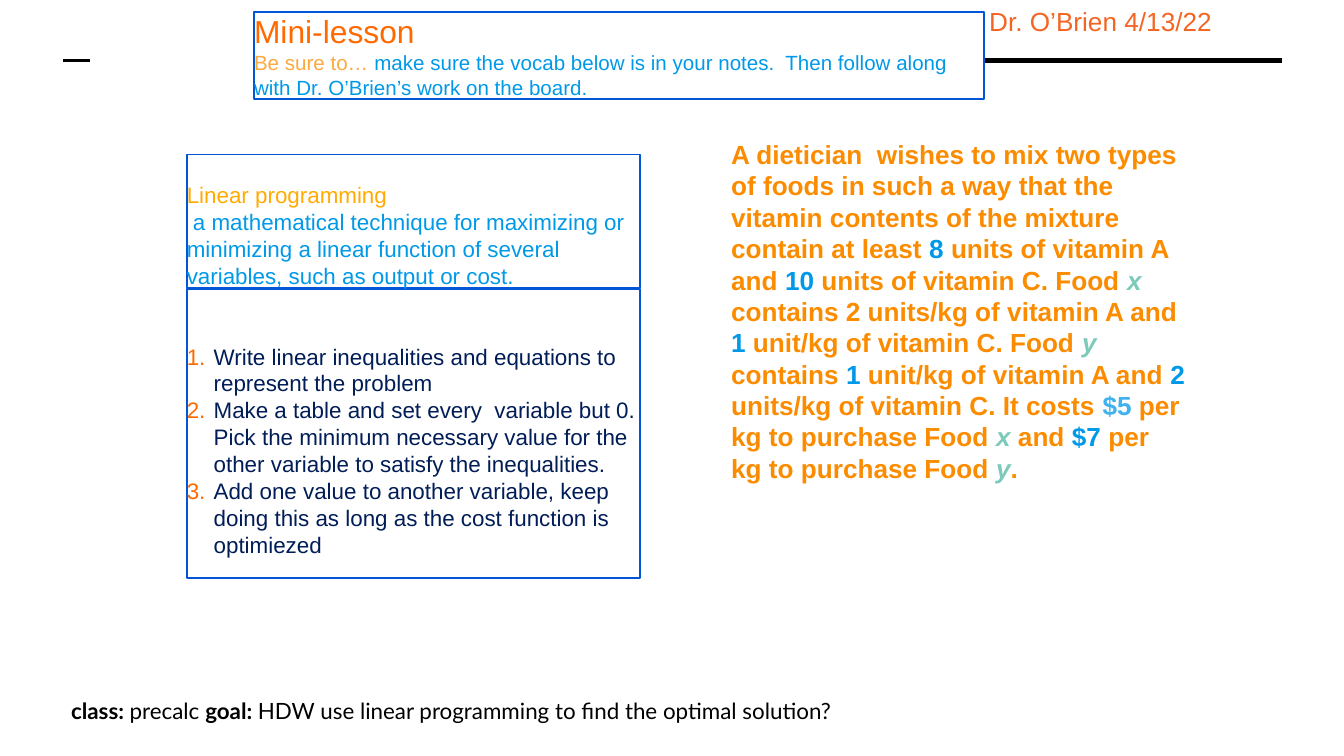
from lxml.etree import SubElement
from pptx import Presentation
from pptx.dml.color import RGBColor
from pptx.enum.shapes import MSO_CONNECTOR, MSO_SHAPE
from pptx.enum.text import MSO_ANCHOR, MSO_AUTO_SIZE, PP_ALIGN
from pptx.oxml.ns import qn
from pptx.util import Inches, Pt

BLACK = RGBColor(0x00, 0x00, 0x00)
WHITE = RGBColor(0xFF, 0xFF, 0xFF)
BORDER_BLUE = RGBColor(0x00, 0x56, 0xD6)
SKY = RGBColor(0x00, 0x99, 0xE8)
PALE_SKY = RGBColor(0x40, 0xB2, 0xEE)
NAVY = RGBColor(0x01, 0x1D, 0x57)
ORANGE = RGBColor(0xFF, 0x6A, 0x00)
AMBER = RGBColor(0xFB, 0x8C, 0x00)
PEACH = RGBColor(0xFC, 0xA9, 0x40)
GOLD = RGBColor(0xFF, 0xAB, 0x01)
CORAL = RGBColor(0xF4, 0x65, 0x24)
TEAL = RGBColor(0x7C, 0xCA, 0xBA)

STEPS = [
    "Write linear inequalities and equations to represent the problem",
    "Make a table and set every  variable but 0. Pick the minimum necessary value for the "
    "other variable to satisfy the inequalities.",
    "Add one value to another variable, keep doing this as long as the cost function is optimiezed",
]
PROBLEM = [
    ("A dietician  wishes to mix two types of foods in such a way that the vitamin contents "
     "of the mixture contain at least ", AMBER),
    ("8", SKY), (" units of vitamin A and ", AMBER),
    ("10", SKY), (" units of vitamin C. Food ", AMBER),
    ("x ", TEAL), ("contains 2 units/kg of vitamin A and ", AMBER),
    ("1", SKY), (" unit/kg of vitamin C. Food ", AMBER),
    ("y", TEAL), (" contains ", AMBER),
    ("1", SKY), (" unit/kg of vitamin A and ", AMBER),
    ("2", SKY), (" units/kg of vitamin C. It costs ", AMBER),
    ("$5", PALE_SKY), (" per kg to purchase Food ", AMBER),
    ("x", TEAL), (" and ", AMBER),
    ("$7", SKY), (" per kg to purchase Food ", AMBER),
    ("y", TEAL), (".", AMBER),
]


def add_rule(slide, start, end, y, weight):
    """Draw a plain black horizontal rule."""
    rule = slide.shapes.add_connector(
        MSO_CONNECTOR.STRAIGHT, Inches(start), Inches(y), Inches(end), Inches(y))
    rule.line.color.rgb = BLACK
    rule.line.width = Pt(weight)
    SubElement(rule.element.spPr, qn("a:effectLst"))


def set_frame(holder, side=0, top=0, bottom=0):
    """Wrap the text from the top with the given insets and return its frame."""
    frame = holder.text_frame
    frame.word_wrap = True
    frame.auto_size = MSO_AUTO_SIZE.NONE
    frame.vertical_anchor = MSO_ANCHOR.TOP
    frame.margin_left = frame.margin_right = Inches(side)
    frame.margin_top = Inches(top)
    frame.margin_bottom = Inches(bottom)
    return frame


def set_border(box):
    """Give a box the thin blue border."""
    box.line.color.rgb = BORDER_BLUE
    box.line.width = Pt(1)


def add_box(slide, left, top, width, height):
    """Add an unfilled, borderless rectangle."""
    box = slide.shapes.add_shape(
        MSO_SHAPE.RECTANGLE, Inches(left), Inches(top), Inches(width), Inches(height))
    box.shadow.inherit = False
    box.fill.background()
    box.line.fill.background()
    return box


def add_label(slide, left, top, width, height):
    """Add a text box and return its frame."""
    return set_frame(slide.shapes.add_textbox(
        Inches(left), Inches(top), Inches(width), Inches(height)))


def next_paragraph(frame):
    """Return the empty first paragraph or a new one, left-aligned."""
    first = frame.paragraphs[0]
    paragraph = frame.add_paragraph() if first.runs else first
    paragraph.alignment = PP_ALIGN.LEFT
    return paragraph


def add_run(paragraph, text, size, color, bold=False, italic=False, font="Arial"):
    """Add one formatted run."""
    run = paragraph.add_run()
    run.text = text
    run.font.name = font
    run.font.size = Pt(size)
    run.font.bold = bold
    run.font.italic = italic
    run.font.color.rgb = color


def number_paragraph(paragraph):
    """Give a paragraph an orange number and a hanging indent."""
    properties = paragraph._p.get_or_add_pPr()
    properties.set("marL", str(Inches(0.2)))
    properties.set("indent", str(-Inches(0.2)))
    number_color = SubElement(properties, qn("a:buClr"))
    SubElement(number_color, qn("a:srgbClr"), val=str(ORANGE))
    SubElement(properties, qn("a:buFont"), typeface="Arial")
    SubElement(properties, qn("a:buAutoNum"), type="arabicPeriod")


def add_goal(slide):
    """Add the class and goal line at the foot."""
    goal = add_box(slide, 0.43, 5.09, 9.35, 0.39)
    goal.fill.solid()
    goal.fill.fore_color.rgb = WHITE
    paragraph = next_paragraph(set_frame(goal, 0.1, 0.1, 0.1))
    for text, bold in [("class: ", True), ("precalc ", False), ("goal: ", True),
                       ("HDW use linear programming to find the optimal solution?", False)]:
        add_run(paragraph, text, 12, BLACK, bold, font="Lato")


def add_heading(slide):
    """Place the lesson title and instruction over the rule."""
    title = slide.shapes.title
    slide.shapes.element.append(title.element)
    title.left, title.top = Inches(1.89), Inches(0.09)
    title.width, title.height = Inches(5.43), Inches(0.65)
    title.fill.solid()
    title.fill.fore_color.rgb = WHITE
    set_border(title)
    frame = set_frame(title)
    add_run(next_paragraph(frame), "Mini-lesson", 17, ORANGE)
    instruction = next_paragraph(frame)
    add_run(instruction, "Be sure to… ", 11, PEACH)
    add_run(instruction, "make sure the vocab below is in your notes.  Then follow along "
            "with Dr. O’Brien’s work on the board.", 11, SKY)


def add_steps(slide):
    """Add the numbered method."""
    box = add_box(slide, 1.39, 2.15, 3.37, 2.15)
    set_border(box)
    frame = set_frame(box, top=0.4)
    for step in STEPS:
        paragraph = next_paragraph(frame)
        number_paragraph(paragraph)
        add_run(paragraph, step, 12, NAVY)


def add_problem(slide):
    """Add the word problem, with variables in italics."""
    paragraph = next_paragraph(add_label(slide, 5.44, 1.03, 3.39, 2.6))
    for text, color in PROBLEM:
        add_run(paragraph, text, 14, color, bold=True, italic=color == TEAL)


def add_definition(slide):
    """Add the vocabulary term and its meaning."""
    box = add_box(slide, 1.39, 1.15, 3.37, 0.99)
    set_border(box)
    frame = set_frame(box, top=0.2)
    add_run(next_paragraph(frame), "Linear programming", 12, GOLD)
    add_run(next_paragraph(frame), " a mathematical technique for maximizing or minimizing "
            "a linear function of several variables, such as output or cost.", 12, SKY)


def main():
    """Build and save the lesson slide."""
    deck = Presentation()
    deck.slide_width = Inches(10)
    deck.slide_height = Inches(10 * 9 / 16)
    slide = deck.slides.add_slide(deck.slide_layouts[5])
    add_rule(slide, 2.71, 9.54, 0.45, 3)
    add_rule(slide, 0.47, 0.67, 0.45, 1.5)
    add_goal(slide)
    byline = next_paragraph(add_label(slide, 7.36, 0.04, 2.29, 0.24))
    add_run(byline, "Dr. O’Brien 4/13/22", 14, CORAL)
    add_heading(slide)
    add_steps(slide)
    add_problem(slide)
    add_definition(slide)
    deck.save("out.pptx")


if __name__ == "__main__":
    main()
